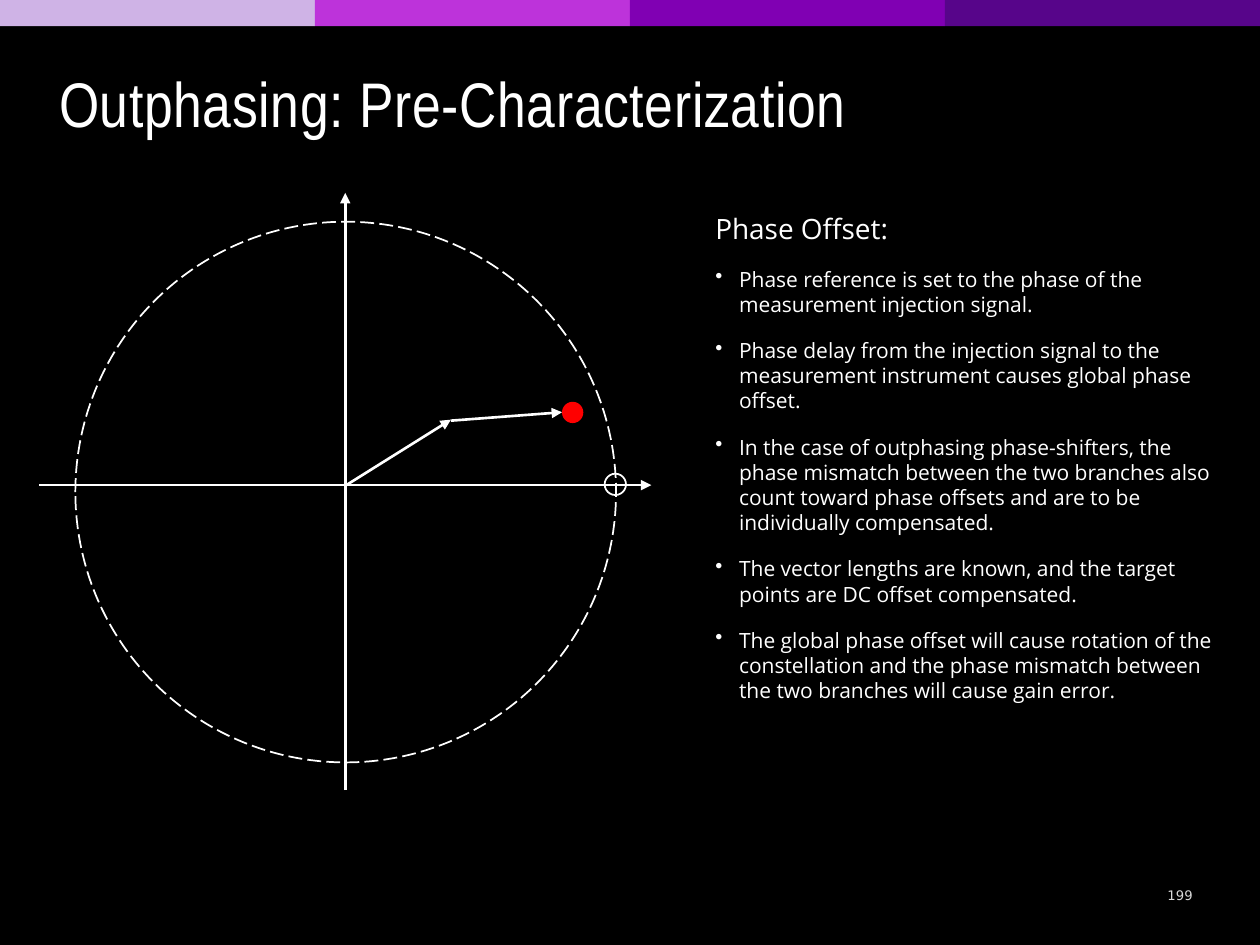
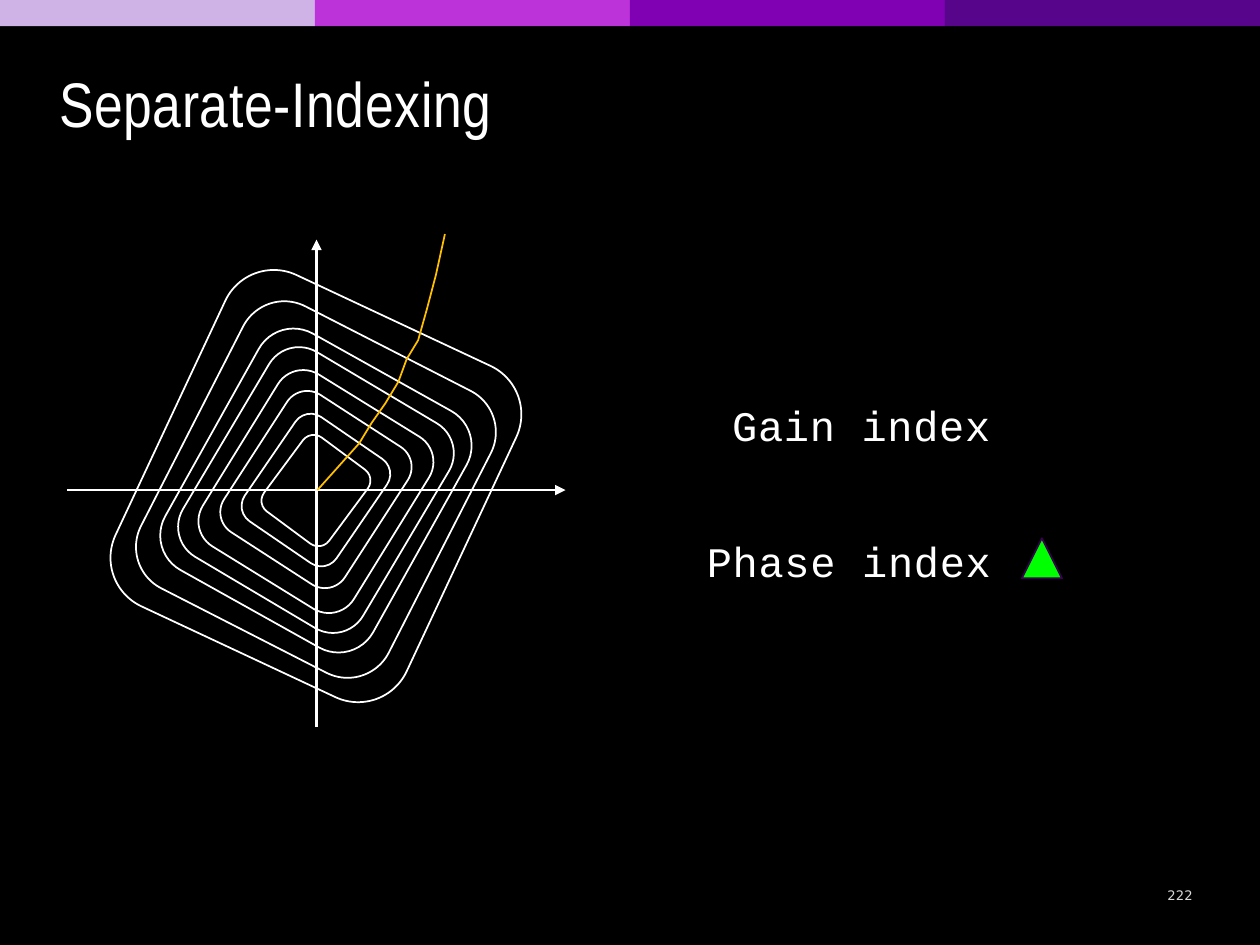
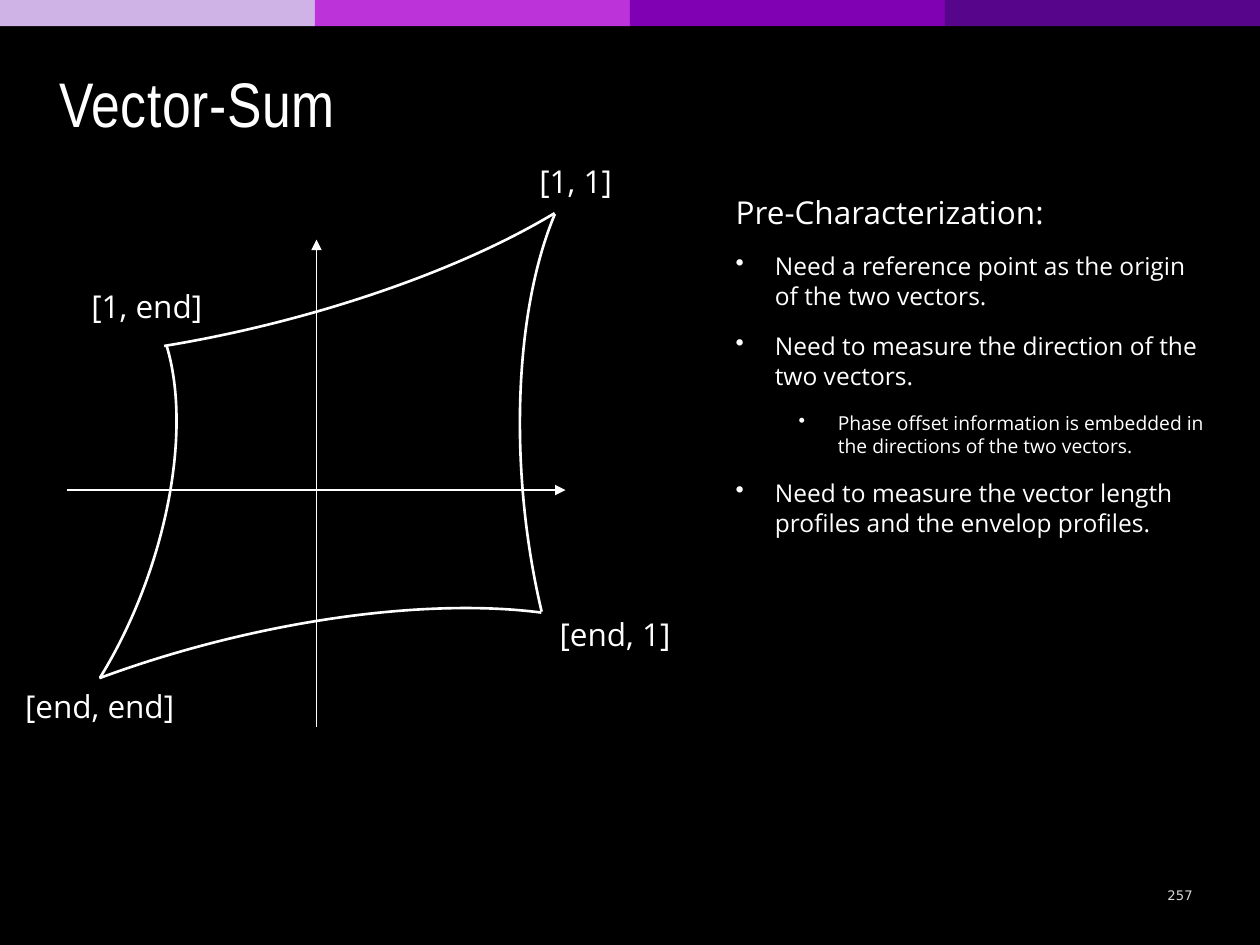
from lxml.etree import SubElement
from pptx import Presentation
from pptx.dml.color import RGBColor
from pptx.enum.dml import MSO_LINE
from pptx.enum.shapes import MSO_CONNECTOR, MSO_SHAPE
from pptx.enum.text import MSO_ANCHOR, MSO_AUTO_SIZE, PP_ALIGN
from pptx.oxml.ns import qn
from pptx.util import Cm, Pt

COLORS = {
    "background": "000000", "white": "FFFFFF", "number": "D9D9D9",
    "red": "FF0000", "green": "00FF00", "outline": "38004E", "curve": "FFC000",
}
BANDS = ["CFB3E6", "BD33DA", "8000B3", "57058A"]
TITLE_FONT, BODY_FONT, CODE_FONT, NUMBER_FONT = (
    "Arial Narrow", "Open Sans", "Courier New", "DejaVu Sans")
TITLE_BOX = (1.19, 1.27, 22.02, 1.68)
NUMBER_BOX = (23.22, 17.7, 1.14, 0.69)

# Content: lengths in centimetres, text sizes in points
OFFSET_NOTES = [  # text, size, level
    ("Phase reference is set to the phase of the measurement injection signal.", 12, 0),
    ("Phase delay from the injection signal to the measurement instrument causes "
     "global phase offset.", 12, 0),
    ("In the case of outphasing phase-shifters, the phase mismatch between the two "
     "branches also count toward phase offsets and are to be individually "
     "compensated.", 12, 0),
    ("The vector lengths are known, and the target points are DC offset "
     "compensated.", 12, 0),
    ("The global phase offset will cause rotation of the constellation and the phase "
     "mismatch between the two branches will cause gain error.", 12, 0),
]
VECTOR_NOTES = [
    ("Need a reference point as the origin of the two vectors.", 14, 0),
    ("Need to measure the direction of the two vectors.", 14, 0),
    ("Phase offset information is embedded in the directions of the two vectors.", 11, 1),
    ("Need to measure the vector length profiles and the envelop profiles.", 14, 0),
]
OUTPHASING_ARROWS = [
    ((0.79, 9.78), (13.13, 9.78)), ((6.96, 15.93), (6.96, 3.89)),
    ((9.09, 8.48), (11.33, 8.31)), ((6.98, 9.78), (9.09, 8.46)),
]
AXES = [((1.35, 9.88), (11.4, 9.88)), ((6.38, 14.66), (6.38, 4.83))]
CONTOUR_X, CONTOUR_RATIO = 6.37, 1.138
CONTOURS = [  # width, rotation, centre height
    (6.48, 25.1, 9.8), (5.61, 27.1, 9.87), (4.8, 29.2, 9.89), (4.22, 30.7, 9.88),
    (3.58, 31.7, 9.91), (2.9, 32.9, 9.87), (2.24, 34.4, 9.88), (1.63, 36.5, 9.89),
]
GAIN_CURVE = [
    (6.4, 9.88), (7.24, 8.94), (7.49, 8.53), (7.77, 8.13), (8.03, 7.7),
    (8.2, 7.24), (8.43, 6.86), (8.61, 6.22), (8.79, 5.54), (8.97, 4.72),
]
INDEX_LABELS = [("Gain index", 14.76, 7.52), ("Phase index", 14.25, 10.26)]
ARC_ENDS = (137.91, 205.1)
ARCS = [  # box, rotation, flipped
    ((-3.51, 12.83, 17.4, 6.27), 345.9, False),
    ((-3.86, 1.09, 17.4, 5.51), 345.9, True),
    ((-5.18, 8.03, 11.07, 5.51), 289.9, True),
    ((6.38, 6.76, 14.25, 5.94), 265, False),
]
CORNER_LABELS = [  # text, left, top, width
    ("[1, 1]", 10.46, 3.15, 2.29), ("[end, 1]", 10.8, 12.27, 3.2),
    ("[1, end]", 1.22, 5.66, 3.48), ("[end, end]", 0.23, 13.72, 3.56),
]


def rgb(name):
    return RGBColor.from_string(COLORS.get(name, name))


def lengths(values):
    return [Cm(value) for value in values]


def add_span(para, text, size, font, color="white", spacing=None):
    span = para.add_run()
    span.text = text
    span.font.size, span.font.name = Pt(size), font
    span.font.color.rgb = rgb(color)
    if spacing:
        span.font._element.set("spc", str(round(spacing * 100)))


def add_box(page, place, wrap=True):
    frame = page.shapes.add_textbox(*lengths(place)).text_frame
    frame.word_wrap = wrap
    return frame


def style_heading(frame):
    """Insets and anchor shared by titles and index labels."""
    frame.margin_left = 0
    frame.vertical_anchor = MSO_ANCHOR.BOTTOM
    frame.auto_size = MSO_AUTO_SIZE.NONE


def add_figure(page, kind, place, fill=None, line=None, width=1, rotation=0):
    figure = page.shapes.add_shape(kind, *lengths(place))
    figure.rotation = rotation
    paint(figure, fill, line, width)
    return figure


def paint(figure, fill, line, width=1):
    figure.shadow.inherit = False
    if fill:
        figure.fill.solid()
        figure.fill.fore_color.rgb = rgb(fill)
    else:
        figure.fill.background()
    if line:
        figure.line.color.rgb = rgb(line)
        figure.line.width = Pt(width)
    else:
        figure.line.fill.background()


def add_arrows(page, arrows, width=1.5):
    for start, end in arrows:
        arrow = page.shapes.add_connector(
            MSO_CONNECTOR.STRAIGHT, *lengths(start + end))
        arrow.line.color.rgb = rgb("white")
        arrow.line.width = Pt(width)
        properties = arrow._element.spPr
        SubElement(properties.find(qn("a:ln")), qn("a:tailEnd"), type="triangle")
        SubElement(properties, qn("a:effectLst"))


def add_notes(page, place, heading, size, notes, hang):
    frame = add_box(page, place)
    add_span(frame.paragraphs[0], heading, size, BODY_FONT)
    for text, note_size, level in notes:
        para = frame.add_paragraph()
        para.level = level
        properties = para._p.get_or_add_pPr()
        properties.set("marL", str(Cm(hang + 1.27 * level)))
        properties.set("indent", str(-Cm(hang)))
        SubElement(properties, qn("a:buChar"), char="•")
        para.space_before = Pt(12)
        add_span(para, text, note_size, BODY_FONT)


def add_page(deck, title, number):
    page = deck.slides.add_slide(deck.slide_layouts[5])
    holder = page.shapes.title
    holder.left, holder.top, holder.width, holder.height = lengths(TITLE_BOX)
    style_heading(holder.text_frame)
    para = holder.text_frame.paragraphs[0]
    para.alignment = PP_ALIGN.LEFT
    add_span(para, title, 36, TITLE_FONT, spacing=0.4)

    frame = add_box(page, NUMBER_BOX)
    frame.vertical_anchor = MSO_ANCHOR.MIDDLE
    frame.paragraphs[0].alignment = PP_ALIGN.CENTER
    add_span(frame.paragraphs[0], number, 7.5, NUMBER_FONT, "number")
    return page


def add_master_bands(deck, page):
    """Draw the bands and move them to the master, so every slide has them."""
    width = deck.slide_width.cm / len(BANDS)
    for index, color in enumerate(BANDS):
        band = add_figure(page, MSO_SHAPE.RECTANGLE, (index * width, 0, width, 0.53), color)
        deck.slide_master.shapes._spTree.append(band._element)


def build_outphasing(page):
    add_arrows(page, OUTPHASING_ARROWS)
    circle = add_figure(page, MSO_SHAPE.OVAL, (1.52, 4.47, 10.9, 10.9), line="white")
    circle.line.dash_style = MSO_LINE.LONG_DASH
    add_figure(page, MSO_SHAPE.OVAL, (12.19, 9.55, 0.43, 0.43), line="white")
    add_figure(page, MSO_SHAPE.OVAL, (11.33, 8.1, 0.43, 0.43), fill="red")
    add_notes(page, (14.17, 4.14, 10.64, 11.13), "Phase Offset:", 16, OFFSET_NOTES, 0.48)


def build_indexing(page):
    add_arrows(page, AXES)
    # Contours around the origin
    for width, rotation, middle in CONTOURS:
        height = width * CONTOUR_RATIO
        place = (CONTOUR_X - width / 2, middle - height / 2, width, height)
        add_figure(page, MSO_SHAPE.ROUNDED_RECTANGLE, place,
                   line="white", rotation=rotation)
    # Index labels and marker
    for text, left, top in INDEX_LABELS:
        frame = add_box(page, (left, top, 8.13, 1.68))
        style_heading(frame)
        add_span(frame.paragraphs[0], text, 24, CODE_FONT, spacing=0.4)
    add_figure(page, MSO_SHAPE.FLOWCHART_EXTRACT, (20.6, 10.85, 0.81, 0.81),
               fill="green", line="outline")
    # Curve crossing the contours
    points = [lengths(point) for point in GAIN_CURVE]
    builder = page.shapes.build_freeform(*points[0])
    builder.add_line_segments(points[1:], close=False)
    paint(builder.convert_to_shape(), None, "curve")


def build_vector_sum(page):
    add_arrows(page, AXES, 0.75)
    # Curved sides
    for place, rotation, flipped in ARCS:
        arc = add_figure(page, MSO_SHAPE.ARC, place, line="white", width=1.5,
                         rotation=rotation)
        arc.adjustments[0], arc.adjustments[1] = ARC_ENDS
        if flipped:
            arc._element.spPr.find(qn("a:xfrm")).set("flipV", "1")
    # Corner labels
    for text, left, top, width in CORNER_LABELS:
        para = add_box(page, (left, top, width, 1.02), wrap=False).paragraphs[0]
        para.alignment = PP_ALIGN.CENTER
        add_span(para, text, 18, BODY_FONT)
    add_notes(page, (14.58, 3.76, 10.08, 8.46), "Pre-Characterization:", 18,
              VECTOR_NOTES, 0.79)


PAGES = [
    ("Outphasing: Pre-Characterization", "199", build_outphasing),
    ("Separate-Indexing", "222", build_indexing),
    ("Vector-Sum", "257", build_vector_sum),
]


def main():
    deck = Presentation()
    deck.slide_width, deck.slide_height = Cm(25.4), Cm(19.05)
    backdrop = deck.slide_master.background.fill
    backdrop.solid()
    backdrop.fore_color.rgb = rgb("background")
    for title, number, build in PAGES:
        build(add_page(deck, title, number))
    add_master_bands(deck, deck.slides[0])
    deck.save("out.pptx")


if __name__ == "__main__":
    main()
